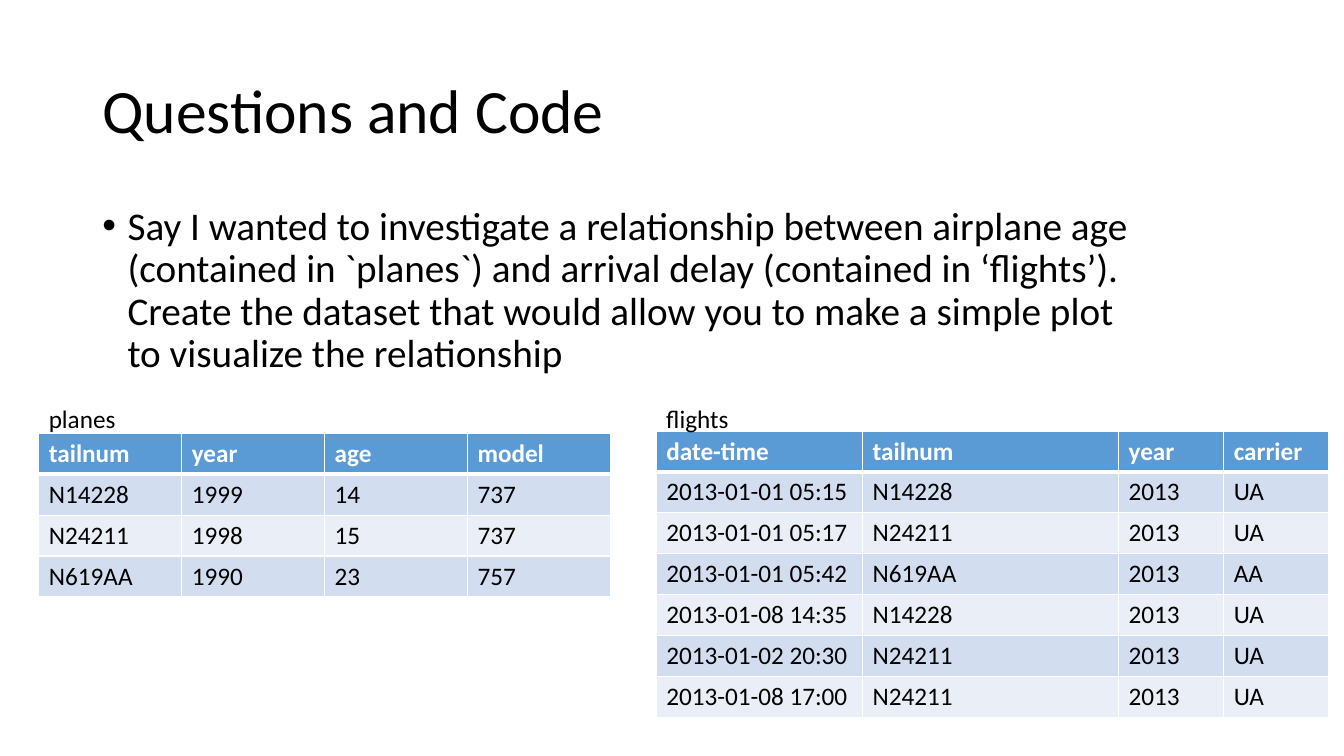
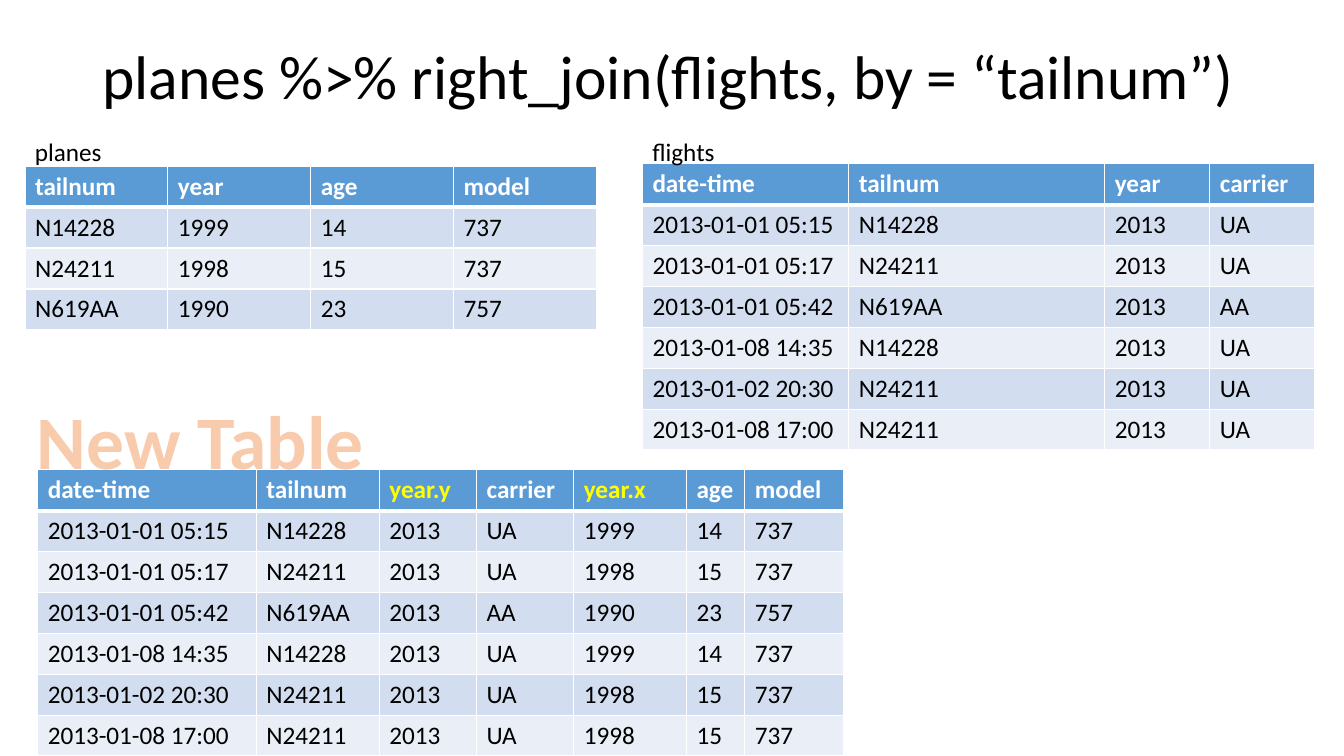
from dataclasses import dataclass

from lxml import etree
from pptx import Presentation, util as u
from pptx.dml import color
from pptx.enum import text
from pptx.oxml import ns
from pptx.slide import Slide
from pptx.table import _Cell
from pptx.text.text import _Paragraph

# Shared style
COLORS = {
    "ink": "000000",
    "white": "FFFFFF",
    "header": "5B9BD5",
    "odd": "D2DEEF",
    "even": "EAEFF7",
    "highlight": "FFFF00",
    "accent": "F8CBAD",
    "accent_line": "ED7D31",
}
FONT = "Calibri"
ROW_HEIGHT = 1.03
BORDER = 1
HEADER_RULE = 3


@dataclass(frozen=True)
class Box:
    left: float
    top: float
    width: float
    height: float

    def lengths(self) -> list[u.Cm]:
        return [u.Cm(v) for v in (self.left, self.top, self.width, self.height)]


@dataclass(frozen=True)
class TextStyle:
    size: float
    color: str = "ink"
    bold: bool = False
    align: text.PP_ALIGN = text.PP_ALIGN.LEFT
    anchor: text.MSO_ANCHOR = text.MSO_ANCHOR.TOP
    line_spacing: float = 1.0
    space_before: float = 0
    wrap: bool = True


@dataclass(frozen=True)
class DataTable:
    columns: tuple[str, ...]
    widths: tuple[float, ...]
    rows: tuple[tuple[str, ...], ...]
    name: str = ""
    highlighted: tuple[str, ...] = ()


TITLE = TextStyle(44, anchor=text.MSO_ANCHOR.MIDDLE, line_spacing=0.9)
BODY = TextStyle(28, line_spacing=0.9, space_before=10)
LABEL = TextStyle(18)
HEADING = TextStyle(54, "accent", True, text.PP_ALIGN.CENTER, wrap=False)

# Data
PLANES = DataTable(
    ("tailnum", "year", "age", "model"),
    (3.6,) * 4,
    (
        ("N14228", "1999", "14", "737"),
        ("N24211", "1998", "15", "737"),
        ("N619AA", "1990", "23", "757"),
    ),
    "planes",
)
FLIGHTS = DataTable(
    ("date-time", "tailnum", "year", "carrier"),
    (5.2, 6.45, 2.65, 2.65),
    (
        ("2013-01-01 05:15", "N14228", "2013", "UA"),
        ("2013-01-01 05:17", "N24211", "2013", "UA"),
        ("2013-01-01 05:42", "N619AA", "2013", "AA"),
        ("2013-01-08 14:35", "N14228", "2013", "UA"),
        ("2013-01-02 20:30", "N24211", "2013", "UA"),
        ("2013-01-08 17:00", "N24211", "2013", "UA"),
    ),
    "flights",
)
PLANE_BY_TAILNUM = {row[0]: row[1:] for row in PLANES.rows}
JOINED = DataTable(
    ("date-time", "tailnum", "year.y", "carrier", "year.x", "age", "model"),
    (5.51, 3.1, 2.45, 2.45, 2.84, 1.47, 2.5),
    tuple(row + PLANE_BY_TAILNUM[row[1]] for row in FLIGHTS.rows),
    highlighted=("year.y", "year.x"),
)
QUESTION = (
    "Say I wanted to investigate a relationship between airplane age "
    "(contained in `planes`) and arrival delay (contained in ‘flights’). "
    "Create the dataset that would allow you to make a simple plot "
    "to visualize the relationship"
)


def rgb(name: str) -> color.RGBColor:
    return color.RGBColor.from_string(COLORS[name])


def set_values(target: object, values: dict) -> None:
    for name, value in values.items():
        setattr(target, name, value)


def line_element(tag: str, points: float, color_name: str) -> etree._Element:
    line = etree.Element(ns.qn(tag), w=str(u.Pt(points)))
    fill = etree.SubElement(line, ns.qn("a:solidFill"))
    etree.SubElement(fill, ns.qn("a:srgbClr"), val=COLORS[color_name])
    return line


def write(paragraph: _Paragraph, content: str, style: TextStyle) -> None:
    set_values(paragraph, {
        "alignment": style.align,
        "line_spacing": style.line_spacing,
        "space_before": u.Pt(style.space_before),
    })
    run = paragraph.add_run()
    run.text = content
    set_values(run.font, {"name": FONT, "size": u.Pt(style.size), "bold": style.bold})
    run.font.color.rgb = rgb(style.color)


def add_text(slide: Slide, box: Box, content: str, style: TextStyle) -> _Paragraph:
    frame = slide.shapes.add_textbox(*box.lengths()).text_frame
    set_values(frame, {"word_wrap": style.wrap, "vertical_anchor": style.anchor})
    write(frame.paragraphs[0], content, style)
    return frame.paragraphs[0]


def add_bullet(paragraph: _Paragraph) -> None:
    properties = paragraph._p.get_or_add_pPr()
    indent = u.Cm(0.635)
    properties.set("marL", str(indent))
    properties.set("indent", str(-indent))
    etree.SubElement(properties, ns.qn("a:buFont"), typeface="Arial")
    etree.SubElement(properties, ns.qn("a:buChar"), char="•")


def style_cell(cell: _Cell, fill: str, top: float, bottom: float) -> None:
    properties = cell._tc.get_or_add_tcPr()
    for side, points in (("L", BORDER), ("R", BORDER), ("T", top), ("B", bottom)):
        properties.append(line_element(f"a:ln{side}", points, "white"))
    cell.fill.solid()
    cell.fill.fore_color.rgb = rgb(fill)


def add_data_table(slide: Slide, data: DataTable, left: float, top: float) -> None:
    lines = (data.columns,) + data.rows
    box = Box(left, top, sum(data.widths), ROW_HEIGHT * len(lines))
    table = slide.shapes.add_table(len(lines), len(data.columns), *box.lengths()).table
    for column, width in zip(table.columns, data.widths):
        column.width = u.Cm(width)
    for index, values in enumerate(lines):
        table.rows[index].height = u.Cm(ROW_HEIGHT)
        is_header = index == 0
        fill = "header" if is_header else ("even", "odd")[index % 2]
        for position, value in enumerate(values):
            cell = table.cell(index, position)
            style_cell(cell, fill, HEADER_RULE if index == 1 else BORDER,
                       HEADER_RULE if is_header else BORDER)
            ink = "white" if is_header else "ink"
            if is_header and value in data.highlighted:
                ink = "highlight"
            write(cell.text_frame.paragraphs[0], value, TextStyle(18, ink, is_header))


def add_source_tables(slide: Slide, left: float, label_top: float) -> None:
    """Draw planes and flights side by side, each under its name."""
    for data, offset, drop in ((PLANES, 0, 0.89), (FLIGHTS, 15.56, 0.83)):
        add_data_table(slide, data, left + offset, label_top + drop)
        add_text(slide, Box(left + offset, label_top, 6.45, 1.03), data.name, LABEL)


def add_titled_slide(presentation: Presentation, title: str, height: float) -> Slide:
    slide = presentation.slides.add_slide(presentation.slide_layouts[6])
    add_text(slide, Box(2.33, 1.01, 29.21, height), title, TITLE)
    return slide


def main() -> None:
    presentation = Presentation()
    set_values(presentation, {"slide_width": u.Cm(33.87), "slide_height": u.Cm(19.05)})

    # Question slide
    slide = add_titled_slide(presentation, "Questions and Code", 3.68)
    add_bullet(add_text(slide, Box(2.33, 5.08, 27.03, 12.09), QUESTION, BODY))
    add_source_tables(slide, 0.98, 10.03)

    # Join slide
    slide = add_titled_slide(
        presentation, "planes %>% right_join(flights, by = “tailnum”)", 1.98)
    add_source_tables(slide, 0.63, 3.3)
    add_data_table(slide, JOINED, 0.95, 11.84)
    heading = add_text(slide, Box(0.63, 9.8, 8.84, 2.57), "New Table", HEADING)
    heading.runs[0].font._element.insert(0, line_element("a:ln", 1.75, "accent_line"))

    presentation.save("out.pptx")


if __name__ == "__main__":
    main()
